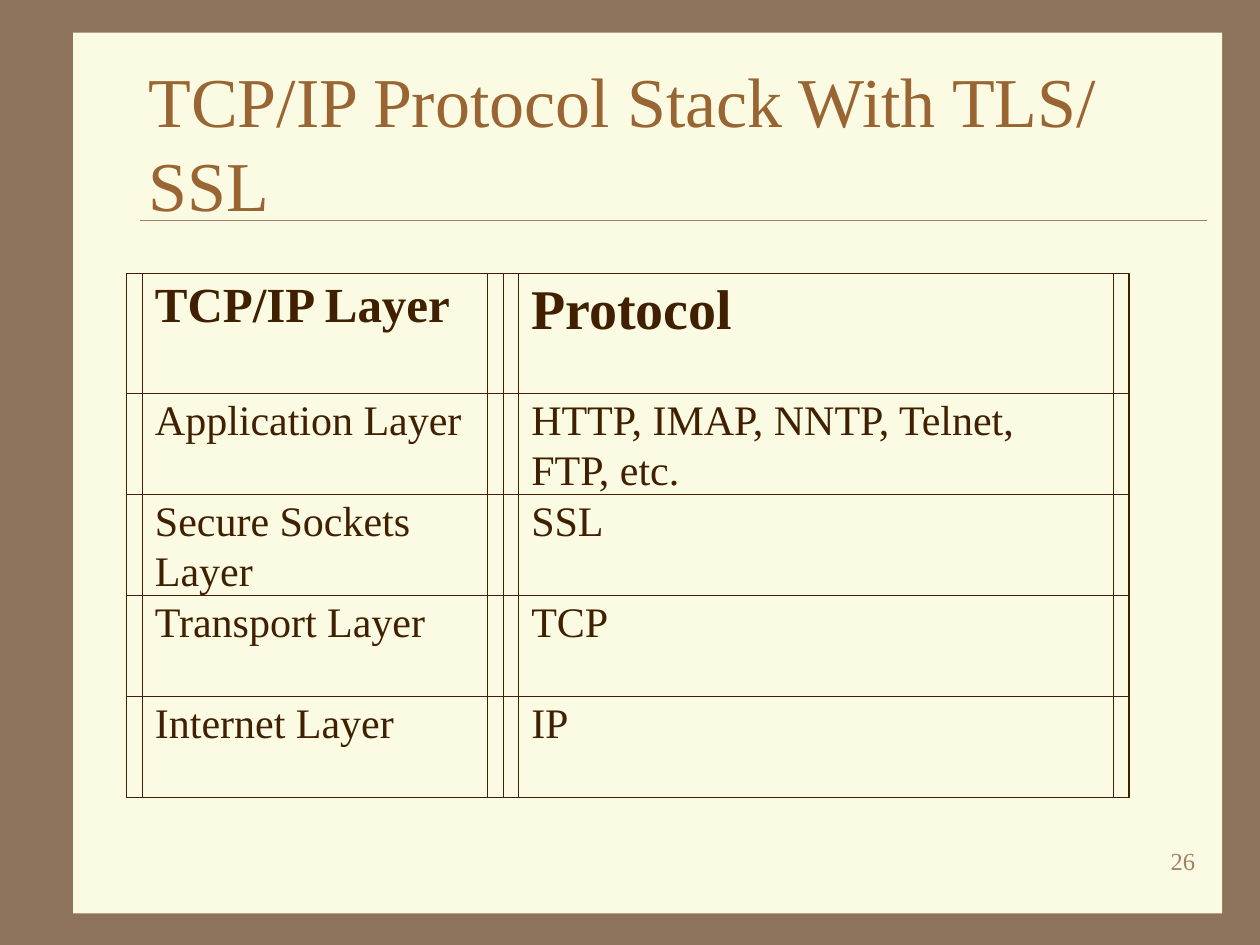
from pptx import Presentation
from pptx.dml.color import RGBColor
from pptx.enum import shapes, text
from pptx.oxml import parse_xml
from pptx.oxml import ns
from pptx.util import Pt

FONT = "Times New Roman"
COLORS = {
    "frame": "8C735A",
    "panel": "FBFAE2",
    "title": "996633",
    "accent": "A08366",
    "ink": "402000",
}
LAYERS = [
    ("TCP/IP Layer", "Protocol"),
    ("Application Layer", "HTTP, IMAP, NNTP, Telnet, FTP, etc."),
    ("Secure Sockets Layer", "SSL"),
    ("Transport Layer", "TCP"),
    ("Internet Layer", "IP"),
]
HEADER_SIZES = (28, 32)
BODY_SIZE = 24
GRID_LEFT, GRID_TOP = 72.5, 156.3
GUTTER = 9
COLUMN_WIDTHS = (215, 357.5)
HEADER_HEIGHT = 68.6
ROW_HEIGHT = 57.7


def color(name):
    return RGBColor.from_string(COLORS[name])


def add_span(para, words, size, ink, bold=False):
    span = para.add_run()
    span.text = words
    span.font.name = FONT
    span.font.size = Pt(size)
    span.font.bold = bold
    span.font.color.rgb = color(ink)


def add_panel(page):
    panel = page.shapes.add_shape(
        shapes.MSO_SHAPE.RECTANGLE, Pt(41.8), Pt(18.7), Pt(656.6), Pt(503.3)
    )
    panel.shadow.inherit = False
    panel.fill.solid()
    panel.fill.fore_color.rgb = color("panel")
    panel.line.fill.background()
    page.shapes._spTree.insert(2, panel._element)


def add_rule(page):
    rule = page.shapes.add_connector(
        shapes.MSO_CONNECTOR.STRAIGHT, Pt(80), Pt(126), Pt(690), Pt(126)
    )
    rule.line.color.rgb = color("accent")
    rule.line.width = Pt(0.25)
    rule._element.spPr.append(parse_xml(f"<a:effectLst {ns.nsdecls('a')}/>"))


def set_title(page, words):
    title = page.shapes.title
    title.left, title.top, title.width, title.height = Pt(77.6), Pt(36), Pt(612), Pt(90)
    frame = title.text_frame
    frame.word_wrap = True
    frame.auto_size = text.MSO_AUTO_SIZE.NONE
    frame.vertical_anchor = text.MSO_ANCHOR.MIDDLE
    para = frame.paragraphs[0]
    para.alignment = text.PP_ALIGN.LEFT
    add_span(para, words, 40, "title")


def add_page_number(page, number):
    box = page.shapes.add_textbox(Pt(540), Pt(480), Pt(150), Pt(36))
    box.text_frame.word_wrap = True
    para = box.text_frame.paragraphs[0]
    para.alignment = text.PP_ALIGN.RIGHT
    add_span(para, number, 14, "accent")


def add_outline(group, left, top, width, height):
    box = group.shapes.add_shape(
        shapes.MSO_SHAPE.RECTANGLE, Pt(left), Pt(top), Pt(width), Pt(height)
    )
    box.shadow.inherit = False
    box.fill.background()
    box.line.color.rgb = color("ink")
    box.line.width = Pt(0.5)
    return box


def add_entry(group, left, top, width, height, words, size, bold):
    box = add_outline(group, left + GUTTER, top, width - 2 * GUTTER, height)
    frame = box.text_frame
    frame.word_wrap = True
    frame.vertical_anchor = text.MSO_ANCHOR.TOP
    frame.margin_left = frame.margin_right = Pt(7.2)
    frame.margin_top = frame.margin_bottom = 0
    para = frame.paragraphs[0]
    para.alignment = text.PP_ALIGN.LEFT
    add_span(para, words, size, "ink", bold)
    add_outline(group, left, top, width, height)


def add_layer_grid(page):
    group = page.shapes.add_group_shape()
    top = GRID_TOP
    for row, entries in enumerate(LAYERS):
        is_header = row == 0
        height = HEADER_HEIGHT if is_header else ROW_HEIGHT
        sizes = HEADER_SIZES if is_header else (BODY_SIZE, BODY_SIZE)
        left = GRID_LEFT
        for words, size, width in zip(entries, sizes, COLUMN_WIDTHS):
            add_entry(group, left, top, width, height, words, size, is_header)
            left += width
        top += height
    add_outline(group, GRID_LEFT - 0.4, GRID_TOP, sum(COLUMN_WIDTHS) + 0.6, top - GRID_TOP)


def main():
    deck = Presentation()
    deck.slide_width, deck.slide_height = Pt(720), Pt(540)
    page = deck.slides.add_slide(deck.slide_layouts[5])
    page.background.fill.solid()
    page.background.fill.fore_color.rgb = color("frame")
    add_panel(page)
    add_rule(page)
    set_title(page, "TCP/IP Protocol Stack With TLS/ SSL")
    add_layer_grid(page)
    add_page_number(page, "26")
    deck.save("out.pptx")


if __name__ == "__main__":
    main()
